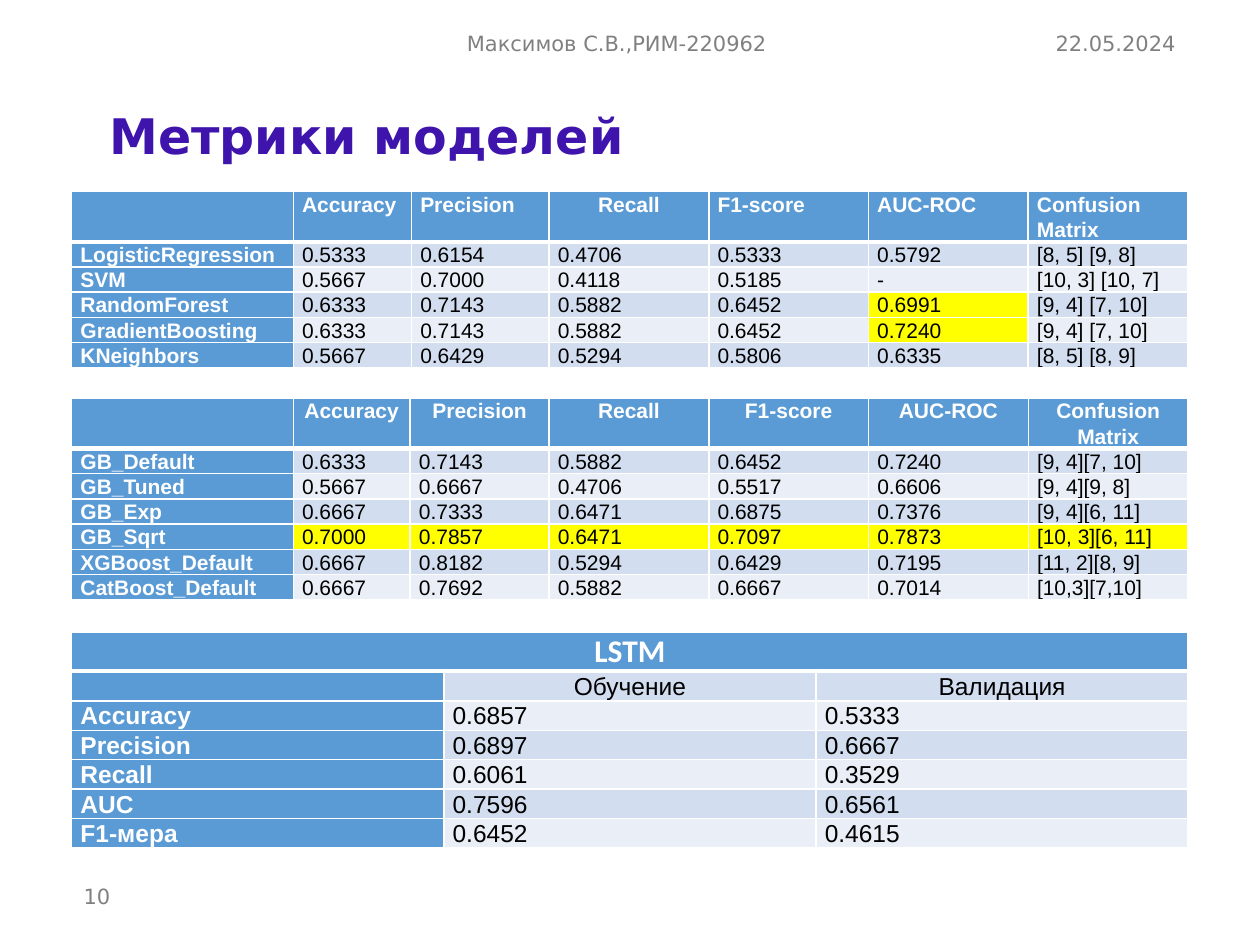
from lxml.etree import SubElement
from pptx import Presentation
from pptx.dml.color import RGBColor
from pptx.enum.text import MSO_ANCHOR as Anchor, MSO_AUTO_SIZE as AutoSize, PP_ALIGN as Align
from pptx.oxml.ns import qn
from pptx.util import Pt

COLORS = {"title": "3F14AC", "grey": "808080", "header": "5B9BD5", "odd": "D2DEEF",
          "even": "EAEFF7", "marked": "FFFF00", "white": "FFFFFF", "black": "000000"}
TITLE = "Метрики моделей"
# text, (left, top, width, height), alignment
NOTES = [
    ("22.05.2024", (575.3, 13.7, 103.7, 21.6), Align.RIGHT),
    ("Максимов С.В.,РИМ-220962", (154.8, 13.7, 395.3, 21.6), Align.CENTER),
    ("10", (36, 496.8, 38.9, 30.2), Align.CENTER),
]
METRICS = ["", "Accuracy", "Precision", "Recall", "F1-score", "AUC-ROC", "Confusion Matrix"]
BASE_MODELS = [
    METRICS,
    ["LogisticRegression", "0.5333", "0.6154", "0.4706", "0.5333", "0.5792", "[8, 5] [9, 8]"],
    ["SVM", "0.5667", "0.7000", "0.4118", "0.5185", "-", "[10, 3] [10, 7]"],
    ["RandomForest", "0.6333", "0.7143", "0.5882", "0.6452", "0.6991", "[9, 4] [7, 10]"],
    ["GradientBoosting", "0.6333", "0.7143", "0.5882", "0.6452", "0.7240", "[9, 4] [7, 10]"],
    ["KNeighbors", "0.5667", "0.6429", "0.5294", "0.5806", "0.6335", "[8, 5] [8, 9]"],
]
BOOSTING_MODELS = [
    METRICS,
    ["GB_Default", "0.6333", "0.7143", "0.5882", "0.6452", "0.7240", "[9, 4][7, 10]"],
    ["GB_Tuned", "0.5667", "0.6667", "0.4706", "0.5517", "0.6606", "[9, 4][9, 8]"],
    ["GB_Exp", "0.6667", "0.7333", "0.6471", "0.6875", "0.7376", "[9, 4][6, 11]"],
    ["GB_Sqrt", "0.7000", "0.7857", "0.6471", "0.7097", "0.7873", "[10, 3][6, 11]"],
    ["XGBoost_Default", "0.6667", "0.8182", "0.5294", "0.6429", "0.7195", "[11, 2][8, 9]"],
    ["CatBoost_Default", "0.6667", "0.7692", "0.5882", "0.6667", "0.7014", "[10,3][7,10]"],
]
LSTM = [
    ["LSTM", "", ""],
    ["", "Обучение", "Валидация"],
    ["Accuracy", "0.6857", "0.5333"],
    ["Precision", "0.6897", "0.6667"],
    ["Recall", "0.6061", "0.3529"],
    ["AUC", "0.7596", "0.6561"],
    ["F1-мера", "0.6452", "0.4615"],
]
TABLE_LEFT, TABLE_WIDTH = 41, 638
EQUAL_WIDTH = 91.3
TABLES = [
    dict(rows=BASE_MODELS, top=109.4, widths=[126.6, 67.6, 78.6] + [EQUAL_WIDTH] * 4,
         heights=(28.8, 14.4), size=12, marked={(3, 5), (4, 5)}, centred={(0, 3)}),
    dict(rows=BOOSTING_MODELS, top=227.5, widths=[126.6, 66.8, 79.4] + [EQUAL_WIDTH] * 4,
         heights=(28.8, 14.4), size=12, marked={(4, column) for column in range(1, 7)},
         centred={(0, column) for column in range(1, 7)}),
    dict(rows=LSTM, top=361.4, widths=[TABLE_WIDTH / 3] * 3, heights=(22, 16.8), size=14,
         centred={(0, 0), (1, 1), (1, 2)}, banner=True),
]


def rgb(name):
    return RGBColor.from_string(COLORS[name])


def write(frame, text, size, color, font="DejaVu Sans", bold=False, align=Align.LEFT, spacing=None):
    paragraph = frame.paragraphs[0]
    paragraph.alignment = align
    paragraph.line_spacing = spacing
    if not text:  # keeps an empty cell from growing to the default text size
        SubElement(paragraph._p, qn("a:endParaRPr"), sz=str(size * 100))
        return
    run = paragraph.add_run()
    run.text = text
    run.font.size, run.font.name, run.font.bold = Pt(size), font, bold
    run.font.color.rgb = rgb(color)


def set_borders(cell, top, bottom):
    properties = cell._tc.get_or_add_tcPr()
    for side, width in (("L", 1), ("R", 1), ("T", top), ("B", bottom)):
        line = SubElement(properties, qn(f"a:ln{side}"), w=str(Pt(width)))
        fill = SubElement(line, qn("a:solidFill"))
        SubElement(fill, qn("a:srgbClr"), val=COLORS["white"])


def add_metric_table(slide, rows, top, widths, heights, size, marked=(), centred=(), banner=False):
    """Add a table; banner merges its first row into one heading."""
    row_heights = [heights[0]] + [heights[1]] * (len(rows) - 1)
    table = slide.shapes.add_table(len(rows), len(widths), Pt(TABLE_LEFT), Pt(top),
                                   Pt(TABLE_WIDTH), Pt(sum(row_heights))).table
    table.first_row = table.horz_banding = False
    for column, width in zip(table.columns, widths):
        column.width = Pt(width)
    for row, height in zip(table.rows, row_heights):
        row.height = Pt(height)
    if banner:
        table.cell(0, 0).merge(table.cell(0, len(widths) - 1))
    for i, values in enumerate(rows):
        for j, text in enumerate(values):
            cell = table.cell(i, j)
            heading = i == 0 or j == 0
            cell.margin_left = cell.margin_right = Pt(5)
            cell.margin_top = cell.margin_bottom = 0
            set_borders(cell, top=3 if i == 1 else 1, bottom=3 if i == 0 else 1)
            band = "odd" if i % 2 else "even"
            cell.fill.solid()
            cell.fill.fore_color.rgb = rgb(
                "header" if heading else "marked" if (i, j) in marked else band)
            title = banner and i == 0
            write(cell.text_frame, text, 18 if title else size,
                  "white" if heading else "black", font="Calibri" if title else "Arial",
                  bold=heading, align=Align.CENTER if (i, j) in centred else Align.LEFT,
                  spacing=None if title else 1.07)


def place(shape, box):
    shape.left, shape.top, shape.width, shape.height = map(Pt, box)
    frame = shape.text_frame
    frame.word_wrap, frame.auto_size = True, AutoSize.NONE
    frame.vertical_anchor = Anchor.MIDDLE
    return frame


def main():
    presentation = Presentation()
    presentation.slide_width, presentation.slide_height = Pt(720), Pt(540)
    slide = presentation.slides.add_slide(presentation.slide_layouts[5])
    write(place(slide.shapes.title, (55.4, 51.8, 643, 55.4)), TITLE, 28, "title",
          bold=True, spacing=0.9)
    for text, box, align in NOTES:
        write(place(slide.shapes.add_textbox(0, 0, 0, 0), box), text, 12, "grey", align=align)
    for table in TABLES:
        add_metric_table(slide, **table)
    presentation.save("out.pptx")


if __name__ == "__main__":
    main()
